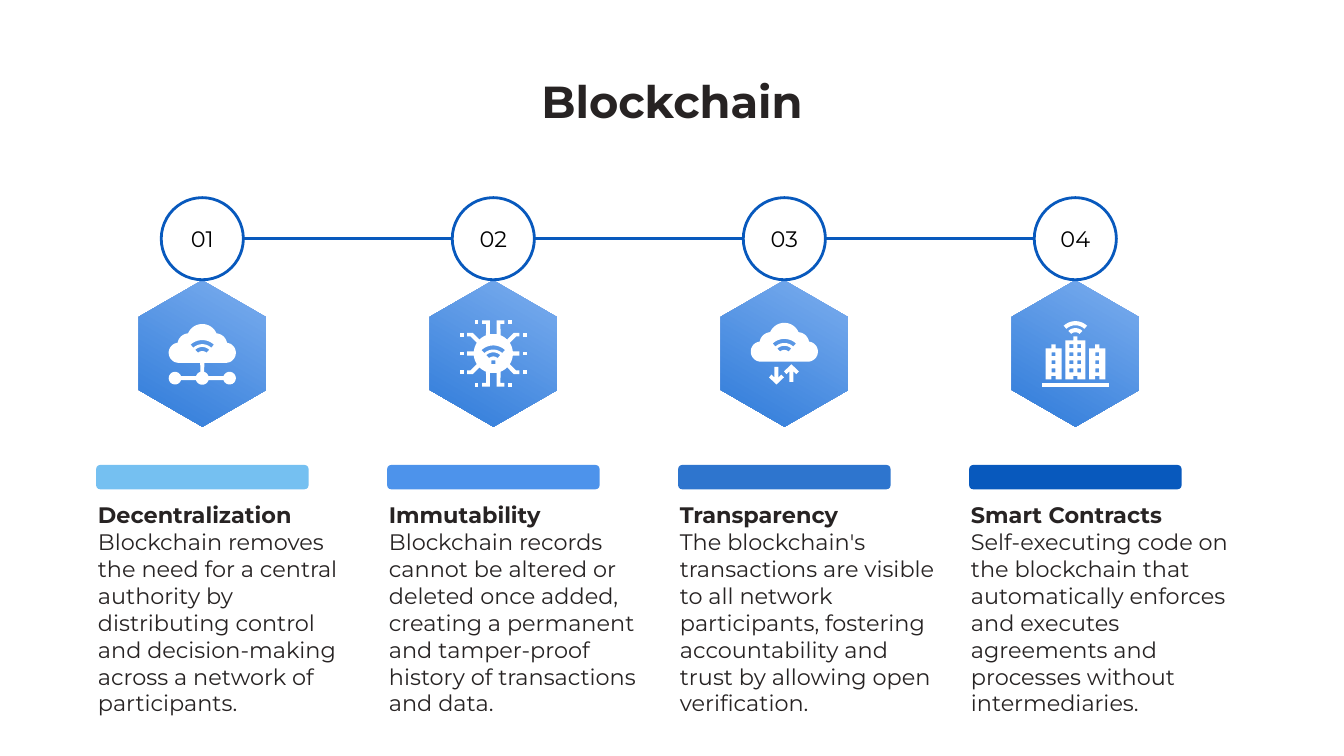
from dataclasses import dataclass
from math import cos, radians, sin

from lxml.etree import SubElement
from pptx import Presentation
from pptx.dml.color import RGBColor as Rgb
from pptx.enum.shapes import MSO_CONNECTOR as Line, MSO_SHAPE as Kind
from pptx.enum.text import MSO_ANCHOR as Anchor, PP_ALIGN as Align
from pptx.oxml.ns import qn
from pptx.util import Pt


@dataclass(frozen=True)
class Theme:
    """Hold the colours and type sizes."""
    font: str = "Montserrat"
    ink: str = "272323"
    black: str = "000000"
    white: str = "FFFFFF"
    edge: str = "0859BD"
    light: str = "89B7F2"
    deep: str = "2272D6"
    bars: tuple = ("75C0F1", "4D93EB", "2E75CE", "0859BD")
    head: int = 24
    body: int = 12


THEME = Theme()
LEFT, STEP, RING, ROW, HEX = 108.4, 155.9, 44, 127.9, 189.4
ITEMS = [
    ("Decentralization", "Blockchain removes the need for a central authority by "
     "distributing control and decision-making across a network of participants."),
    ("Immutability", "Blockchain records cannot be altered or deleted once added, "
     "creating a permanent and tamper-proof history of transactions and data."),
    ("Transparency", "The blockchain's transactions are visible to all network "
     "participants, fostering accountability and trust by allowing open verification."),
    ("Smart Contracts", "Self-executing code on the blockchain that automatically "
     "enforces and executes agreements and processes without intermediaries."),
]


def tint(name):
    """Turn a hex name into a colour."""
    return Rgb.from_string(name)


def arc(x, y, r, start, end, count=16):
    """Return points along an arc, with degrees running clockwise."""
    turns = [radians(start + (end - start) * i / count) for i in range(count + 1)]
    return [(x + r * cos(a), y + r * sin(a)) for a in turns]


def flip(points, sx=-1, sy=1):
    """Complete an outline with its mirrored half."""
    return points + [(sx * x, sy * y) for x, y in reversed(points)]


def shift(points, dx, dy):
    """Move an outline."""
    return [(x + dx, y + dy) for x, y in points]


def box(x, y, wide=2.1, high=2.1):
    """Return a rectangle around a centre."""
    w, h = wide / 2, high / 2
    return [(x - w, y - h), (x + w, y - h), (x + w, y + h), (x - w, y + h)]


def waves(y):
    """Return the two bows of a wireless signal."""
    return [arc(0, y, r, -47, -133) + arc(0, y, r - 2.2, -133, -47) for r in (9.2, 5.5)]


def cloud():
    """Return the right half of a cloud."""
    return (arc(12.6, -0.4, 5.4, 90, -84) + arc(7.2, -4.7, 6.1, -10, -86)
            + arc(0, -7.5, 8.3, -23, -90))


def network():
    """Return a cloud above three linked nodes."""
    nodes = (arc(0, 13.2, 3.5, 90, 18) + arc(14.6, 13.2, 3.4, 162, -162)
             + arc(0, 13.2, 3.5, -18, -73))
    return [[flip(nodes + [(1.1, 5)] + cloud()), *waves(2)]]


def chip():
    """Return a round chip with traces and pins."""
    part = [(14, -1.1), *arc(0, 0, 10.5, -6, -33), (12.2, -9.1), (14, -9.1),
            (14, -11.1), (11, -11.1), *arc(0, 0, 10.5, -45, -68), (3.8, -15.8),
            (6, -15.8), (6, -17.8), (1.8, -17.8), (1.8, -10.4)]
    pins = [(17, -10.1), (17, 0), (17, 10.1), (9, -16.8), (9, 16.8)]
    core = [flip(flip(part), 1, -1), *waves(4.9), box(0, 4.7)]
    return [[box(s * x, y)] for s in (1, -1) for x, y in pins] + [core]


def transfer():
    """Return a cloud above a down and an up arrow."""
    down = flip([(0, 4.7), (4, 0.9), (2.6, -0.6), (1.1, 1), (1.1, -4.7)])
    rise = [(x, -y) for x, y in down]
    return [[shift(down, -4.2, 11.9)], [shift(rise, 3.8, 10.5)],
            [shift(p, 0, -0.6) for p in [flip(cloud()), *waves(2)]]]


def tower(x, half, roof, cols, rows):
    """Return a building with windows."""
    wall = flip([(1.1, 12), (1.1, 13.9), (half, 13.9), (half, roof),
                 (1.1, roof), (1.1, roof - 2.1)])
    panes = [box(c, roof + 3.2 + 4.3 * i) for c in cols for i in range(rows)]
    return [shift(p, x, 0) for p in [wall, *panes]]


def city():
    """Return three buildings under a signal."""
    return [[bow] for bow in waves(-8.1)] + [
        tower(11.7, 4.3, -2.8, [0], 3), tower(0, 5.3, -7.1, [-2.1, 2.1], 4),
        tower(-11.7, 4.3, -2.8, [0], 3), [box(0, 17, 36, 2.1)]]


def icon(slide, parts, x, y):
    """Draw the parts of an icon around a centre."""
    home = slide.shapes if len(parts) == 1 else slide.shapes.add_group_shape().shapes
    for part in parts:
        pen = None
        for loop in part:
            first, *rest = [(Pt(x + a), Pt(y + b)) for a, b in loop]
            if pen:
                pen.move_to(*first)
            else:
                pen = home.build_freeform(*first)
            pen.add_line_segments(rest, close=True)
        paint(pen.convert_to_shape(), THEME.white)


def paint(shape, fill):
    """Give a shape a flat fill and no line."""
    shape.shadow.inherit = False
    shape.fill.solid()
    shape.fill.fore_color.rgb = tint(fill)
    shape.line.fill.background()


def write(shape, lines, size, ink, align=Align.LEFT, anchor=Anchor.TOP):
    """Write paragraphs given as pairs of text and weight."""
    frame = shape.text_frame
    frame.word_wrap = True
    frame.vertical_anchor = anchor
    frame.margin_left = frame.margin_right = Pt(7.2)
    frame.margin_top = frame.margin_bottom = Pt(7.2)
    for i, (text, bold) in enumerate(lines):
        para = frame.add_paragraph() if i else frame.paragraphs[0]
        para.text = text
        para.alignment = align
        font = para.font
        font.name, font.size, font.bold = THEME.font, Pt(size), bold
        font.color.rgb = tint(ink)


def label(slide, x, y, wide, high, *args):
    """Add a text box."""
    area = slide.shapes.add_textbox(Pt(x), Pt(y), Pt(wide), Pt(high))
    write(area, *args)


def form(slide, kind, x, y, wide, high):
    """Add a preset shape around a centre."""
    return slide.shapes.add_shape(
        kind, Pt(x - wide / 2), Pt(y - high / 2), Pt(wide), Pt(high))


def tile(slide, x):
    """Add a standing hexagon with a gradient."""
    hexa = form(slide, Kind.HEXAGON, x, HEX, 78.6, 67.9)
    hexa.adjustments[0], hexa.adjustments[1] = 0.289, 1.155
    hexa.rotation = 30
    paint(hexa, THEME.deep)
    hexa.fill.gradient()
    hexa.fill.gradient_angle = 270
    for stop, at, name in zip(hexa.fill.gradient_stops, (0, 1), (THEME.light, THEME.deep)):
        stop.position, stop.color.rgb = at, tint(name)


def edge(shape):
    """Set the outline colour and width."""
    shape.line.color.rgb = tint(THEME.edge)
    shape.line.width = Pt(1.5)


def ring(slide, x, text):
    """Add a numbered circle."""
    disc = form(slide, Kind.OVAL, x, ROW, RING, RING)
    paint(disc, THEME.white)
    edge(disc)
    write(disc, [(text, False)], THEME.body, THEME.black, Align.CENTER, Anchor.MIDDLE)


def link(slide, x):
    """Join a circle to the next one."""
    line = slide.shapes.add_connector(
        Line.STRAIGHT, Pt(x + RING / 2), Pt(ROW), Pt(x + STEP - RING / 2), Pt(ROW))
    edge(line)
    SubElement(line._element.spPr, qn("a:effectLst"))


def main():
    """Build the slide."""
    deck = Presentation()
    deck.slide_width, deck.slide_height = Pt(720), Pt(405)
    slide = deck.slides.add_slide(deck.slide_layouts[6])
    label(slide, 35.5, 32.4, 649, 44, [("Blockchain", True)],
          THEME.head, THEME.ink, Align.CENTER)
    icons = (network, chip, transfer, city)
    for i, ((head, body), draw, fill) in enumerate(zip(ITEMS, icons, THEME.bars)):
        x = LEFT + STEP * i
        tile(slide, x)
        icon(slide, draw(), x, HEX)
        bar = form(slide, Kind.ROUNDED_RECTANGLE, x, 255.6, 113.8, 13)
        paint(bar, fill)
        label(slide, x - 63, 261.4, 153.4, 101.5, [(head, True), (body, False)],
              THEME.body, THEME.ink)
        ring(slide, x, f"{i + 1:02}")
        if i < len(ITEMS) - 1:
            link(slide, x)
    deck.save("out.pptx")


if __name__ == "__main__":
    main()
